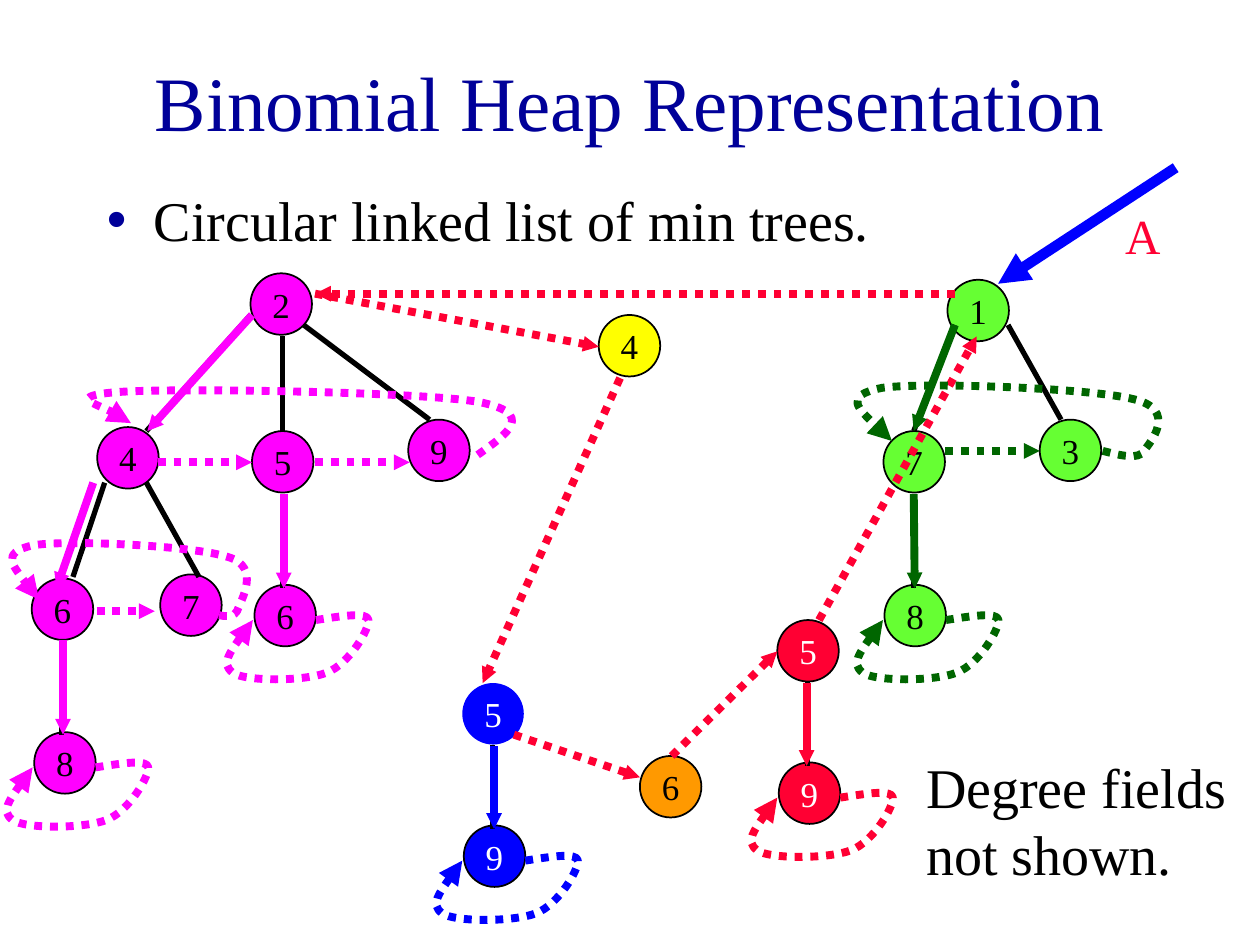
from lxml import etree
from pptx import Presentation
from pptx.dml.color import RGBColor
from pptx.enum.dml import MSO_LINE
from pptx.enum.shapes import MSO_CONNECTOR, MSO_SHAPE
from pptx.enum.text import MSO_ANCHOR, MSO_AUTO_SIZE, PP_ALIGN
from pptx.oxml.ns import qn
from pptx.util import Cm, Pt

STRAIGHT = MSO_CONNECTOR.STRAIGHT
OVAL, RECTANGLE = MSO_SHAPE.OVAL, MSO_SHAPE.RECTANGLE
LEFT, CENTER = PP_ALIGN.LEFT, PP_ALIGN.CENTER
TOP, MIDDLE = MSO_ANCHOR.TOP, MSO_ANCHOR.MIDDLE
DOTS = MSO_LINE.ROUND_DOT

COLORS = {
    "navy": "000099", "black": "000000", "white": "FFFFFF", "orange": "FF9900",
    "yellow": "FFFF00", "red": "FF0033", "lime": "66FF33", "green": "006600",
    "blue": "0000FF", "magenta": "FF00FF",
}
PALETTE = {name: RGBColor.from_string(value) for name, value in COLORS.items()}


def write_text(shape, text, size=20, color="black", align=LEFT, anchor=TOP):
    frame = shape.text_frame
    frame.word_wrap = True
    frame.auto_size = MSO_AUTO_SIZE.NONE
    frame.vertical_anchor = anchor
    paragraph = frame.paragraphs[0]
    paragraph.alignment = align
    paragraph.space_before = Pt(0)
    run = paragraph.add_run()
    run.text = text
    run.font.size = Pt(size)
    run.font.name = "Times New Roman"
    run.font.color.rgb = PALETTE[color]
    return paragraph


def style_line(shape, color, width=4.5, dotted=False, head=None):
    shape.line.color.rgb = PALETTE[color]
    shape.line.width = Pt(width)
    if dotted:
        shape.line.dash_style = DOTS
    if head:
        etree.SubElement(shape.line._get_or_add_ln(), qn("a:tailEnd"),
                         type="triangle", w=head, len=head)
    properties = shape._element.spPr
    if properties.find(qn("a:effectLst")) is None:
        etree.SubElement(properties, qn("a:effectLst"))


presentation = Presentation()
presentation.slide_width, presentation.slide_height = Cm(25.4), Cm(19.05)
slide = presentation.slides.add_slide(presentation.slide_layouts[1])
shapes = slide.shapes

# Title and bullet
title, body = slide.placeholders
title.left, title.top, title.width, title.height = Cm(1.9), Cm(0.43), Cm(21.6), Cm(3.18)
write_text(title, "Binomial Heap Representation", size=44, color="navy",
           align=CENTER, anchor=MIDDLE)
body.left, body.top, body.width, body.height = Cm(1.9), Cm(3.61), Cm(21.6), Cm(1.9)
paragraph = write_text(body, "Circular linked list of min trees.", size=32)
bullet = paragraph._p.get_or_add_pPr()
bullet.set("marL", str(Cm(0.95)))
bullet.set("indent", str(-Cm(0.95)))
bullet_color = etree.SubElement(bullet, qn("a:buClr"))
etree.SubElement(bullet_color, qn("a:srgbClr"), val=COLORS["navy"])
etree.SubElement(bullet, qn("a:buChar"), char="•")

# Nodes: key, fill, text colour, outline, left, top, colour of the loop to itself
NODE_SIZE = 1.24
nodes = [
    ("6", "orange", "black", "black", 12.9, 15.24, None),
    ("4", "yellow", "black", "black", 12.07, 6.35, None),
    ("5", "red", "white", "black", 15.67, 12.5, None),
    ("9", "red", "white", "black", 15.7, 15.37, "red"),
    ("1", "lime", "black", "black", 19.1, 5.64, None),
    ("7", "lime", "black", "black", 17.81, 8.69, None),
    ("3", "lime", "black", "black", 20.96, 8.46, None),
    ("8", "lime", "black", "black", 17.83, 11.79, "green"),
    ("5", "blue", "white", None, 9.32, 13.77, None),
    ("9", "blue", "white", "black", 9.35, 16.64, "blue"),
    ("2", "magenta", "black", "black", 5.05, 5.51, None),
    ("5", "magenta", "black", "black", 5.08, 8.69, None),
    ("9", "magenta", "black", "black", 8.23, 8.46, None),
    ("6", "magenta", "black", "black", 5.13, 11.79, "magenta"),
    ("4", "magenta", "black", "black", 1.96, 8.61, None),
    ("6", "magenta", "black", "black", 0.64, 11.66, None),
    ("7", "magenta", "black", "black", 3.23, 11.58, None),
    ("8", "magenta", "black", "black", 0.69, 14.76, "magenta"),
]
for key, fill, text_color, outline, left, top, _ in nodes:
    node = shapes.add_shape(OVAL, Cm(left), Cm(top), Cm(NODE_SIZE), Cm(NODE_SIZE))
    node.shadow.inherit = False
    node.fill.solid()
    node.fill.fore_color.rgb = PALETTE[fill]
    if outline:
        style_line(node, outline, width=1)
    else:
        node.line.fill.background()
    write_text(node, key, color=text_color, align=CENTER, anchor=MIDDLE)
    frame = node.text_frame
    frame.word_wrap = False
    frame.margin_left = frame.margin_right = frame.margin_top = frame.margin_bottom = 0

# Straight lines: colour, width, dotted, arrowhead, then the ends x1, y1, x2, y2
line_groups = [
    # tree edges
    ("black", 3, False, None, [
        (16.28, 13.74, 16.28, 15.44), (18.42, 9.96, 18.42, 11.86),
        (19.25, 6.55, 18.42, 8.69), (20.32, 6.55, 21.39, 8.46),
        (9.93, 15.01, 9.93, 16.71), (5.69, 9.96, 5.69, 11.86),
        (5.69, 6.78, 5.69, 8.69), (6.12, 6.55, 8.66, 8.46),
        (1.24, 12.9, 1.24, 14.81), (2.11, 9.73, 1.47, 11.63),
        (2.95, 9.73, 4.01, 11.63), (5.05, 6.35, 2.95, 8.69)]),
    # circular list of roots
    ("red", 4.5, True, "sm", [
        (6.35, 5.92, 12.07, 6.99), (12.5, 7.62, 9.73, 13.77),
        (10.36, 14.81, 12.9, 15.67), (13.54, 15.24, 15.67, 13.13),
        (16.51, 12.5, 19.69, 6.78), (19.25, 5.92, 6.35, 5.92)]),
    # sibling pointers
    ("magenta", 4.5, True, "sm", [
        (3.18, 9.32, 5.08, 9.32), (6.35, 9.32, 8.26, 9.32),
        (1.63, 12.32, 3.12, 12.32)]),
    ("green", 4.5, True, "sm", [(19.05, 9.09, 20.96, 9.09)]),
    # child pointers
    ("magenta", 4.5, False, "sm", [
        (5.08, 6.35, 2.97, 8.69), (1.27, 12.9, 1.27, 14.81),
        (1.88, 9.73, 1.14, 11.86), (5.72, 9.96, 5.72, 11.86)]),
    ("green", 4.5, False, "sm", [
        (19.25, 6.55, 18.42, 8.69), (18.42, 9.96, 18.44, 11.86)]),
    ("blue", 4.5, False, "sm", [(9.96, 15.04, 9.96, 16.71)]),
    ("red", 4.5, False, "sm", [(16.26, 13.77, 16.26, 15.44)]),
    # pointer to the heap
    ("blue", 6, False, "med", [(23.7, 3.38, 20.12, 5.72)]),
]
for color, width, dotted, head, lines in line_groups:
    for ends in lines:
        connector = shapes.add_connector(STRAIGHT, *[Cm(value) for value in ends])
        style_line(connector, color, width, dotted, head)

# Loops back to the first sibling: a start, then three Bézier points per curve
loops = [
    ("magenta", [(9.63, 9.17), (10.24, 8.74), (10.82, 8.33), (9.63, 8.1),
                 (8.43, 7.9), (3.61, 7.82), (2.44, 7.9),
                 (1.27, 7.98), (2.62, 8.43), (2.64, 8.53)]),
    ("green", [(22.23, 9.09), (22.61, 9.19), (22.96, 9.27), (23.06, 9.09),
               (23.19, 8.92), (23.75, 8.26), (22.86, 8.05),
               (21.97, 7.82), (18.59, 7.7), (17.78, 7.82),
               (16.97, 7.98), (17.48, 8.43), (17.98, 8.89)]),
    ("magenta", [(4.11, 12.32), (4.39, 12.4), (4.67, 12.5), (4.78, 12.32),
                 (4.85, 12.12), (5.28, 11.43), (4.6, 11.23),
                 (3.91, 11), (1.27, 10.87), (0.64, 11),
                 (0, 11.15), (0.41, 11.63), (0.79, 12.09)]),
]
# A node without siblings loops to itself
SELF_LOOP = [(0, 0), (0.52, -0.08), (1.04, -0.17), (1.06, 0),
             (1.08, 0.17), (0.68, 0.88), (0.22, 1.06),
             (-0.24, 1.24), (-1.44, 1.24), (-1.68, 1.06),
             (-1.92, 0.88), (-1.6, 0.44), (-1.27, 0)]
for *_, left, top, color in nodes:
    if color:
        loops.append((color, [(left + NODE_SIZE + x, top + 0.71 + y) for x, y in SELF_LOOP]))

for color, points in loops:
    start, *others = [(Cm(x), Cm(y)) for x, y in points]
    builder = shapes.build_freeform(*start)
    builder.add_line_segments(others, close=False)
    loop = builder.convert_to_shape()
    # Join every three segments into one cubic curve
    outline = loop._element.spPr.find(".//" + qn("a:path"))
    for index, segment in enumerate(outline.findall(qn("a:lnTo"))):
        if index % 3 == 0:
            curve = etree.SubElement(outline, qn("a:cubicBezTo"))
        curve.append(segment[0])
        outline.remove(segment)
    loop.fill.background()
    loop.shadow.inherit = False
    style_line(loop, color, dotted=True, head="med")

# Labels
heap_label = shapes.add_textbox(Cm(22.43), Cm(4.01), Cm(2.54), Cm(1.45))
write_text(heap_label, "A", size=28, color="red")
remark = shapes.add_shape(RECTANGLE, Cm(18.42), Cm(15.04), Cm(6.98), Cm(2.97))
remark.shadow.inherit = False
remark.fill.solid()
remark.fill.fore_color.rgb = PALETTE["white"]
remark.line.fill.background()
write_text(remark, "Degree fields not shown.", size=32)

presentation.save("out.pptx")
